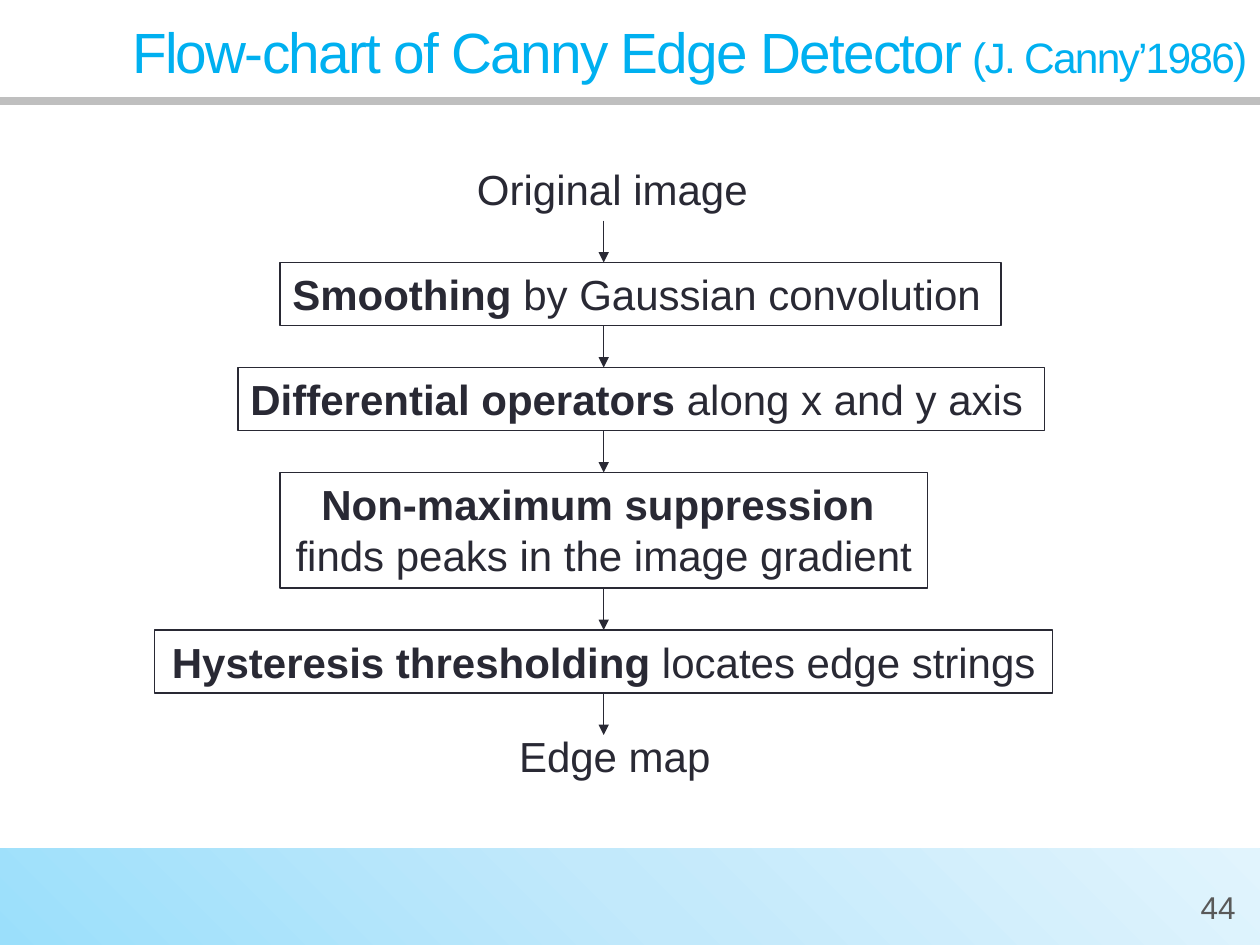
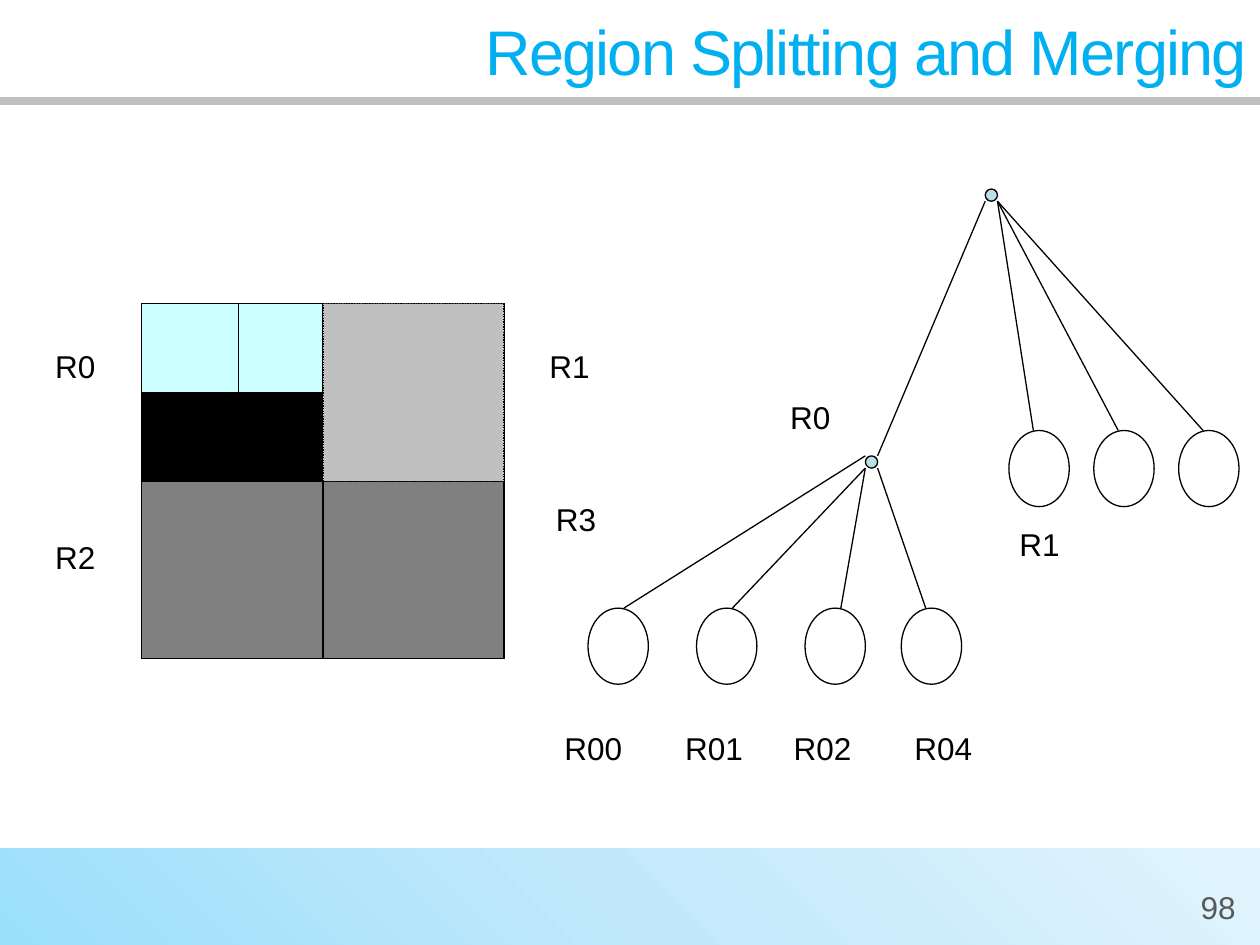
import copy

import pptx
import pptx.dml.color
import pptx.enum.dml
import pptx.enum.shapes
import pptx.enum.text
import pptx.oxml.ns
import pptx.oxml.xmlchemy
import pptx.util

Pt = pptx.util.Pt
qn = pptx.oxml.ns.qn
new_element = pptx.oxml.xmlchemy.OxmlElement
SHAPE = pptx.enum.shapes.MSO_SHAPE
ALIGN = pptx.enum.text.PP_ALIGN
ANCHOR = pptx.enum.text.MSO_ANCHOR

SLIDE_W, SLIDE_H = 720, 540
HEADER_H = 57.6
BAND_TOP = 485
BAND_COLORS = ["9BDFFB", "C2E9FB", "E1F4FD"]
TITLE, RULE, PAGE = "00B0F0", "BFBFBF", "595959"
INK, BLACK, WHITE = "292934", "000000", "FFFFFF"
DOT, LIGHT_REGION, DARK_REGION, PALE_REGION = "BBE0E3", "C0C0C0", "808080", "CCFFFF"


def rgb(color):
    return pptx.dml.color.RGBColor.from_string(color)


def add_run(paragraph, text, size, color, bold=False):
    run = paragraph.add_run()
    run.text = text
    run.font.name = "Arial"
    run.font.size = Pt(size)
    run.font.bold = bold
    run.font.color.rgb = rgb(color)
    return run


def add_shape(shapes, kind, box, fill=None, line=BLACK):
    shape = shapes.add_shape(kind, *map(Pt, box))
    shape.shadow.inherit = False
    if fill:
        shape.fill.solid()
        shape.fill.fore_color.rgb = rgb(fill)
    else:
        shape.fill.background()
    if line:
        shape.line.color.rgb = rgb(line)
        shape.line.width = Pt(0.75)
    else:
        shape.line.fill.background()
    return shape


def add_line(shapes, start, end, color=BLACK, width=0.75, arrow=False):
    line = shapes.add_connector(
        pptx.enum.shapes.MSO_CONNECTOR.STRAIGHT, *map(Pt, (*start, *end)))
    line.line.color.rgb = rgb(color)
    line.line.width = Pt(width)
    properties = line._element.spPr
    if arrow:
        head = new_element("a:tailEnd")
        head.set("type", "triangle")
        properties.find(qn("a:ln")).append(head)
    properties.append(new_element("a:effectLst"))
    return line


def write(shape, paragraphs, size, color, align=ALIGN.CENTER):
    """Fill a shape with paragraphs, each a list of (text, bold) runs."""
    frame = shape.text_frame
    frame.word_wrap = True
    frame.vertical_anchor = ANCHOR.TOP
    for i, runs in enumerate(paragraphs):
        paragraph = frame.add_paragraph() if i else frame.paragraphs[0]
        paragraph.alignment = align
        for text, bold in runs:
            add_run(paragraph, text, size, color, bold)


def add_label(shapes, text, box, size=18, color=BLACK, align=ALIGN.CENTER):
    label = shapes.add_textbox(*map(Pt, box))
    write(label, [[(text, False)]], size, color, align)


def add_footer_band(shapes):
    band = add_shape(shapes, SHAPE.RECTANGLE,
                     (0, BAND_TOP, SLIDE_W, SLIDE_H - BAND_TOP), line=None)
    band.fill.gradient()
    band.fill.gradient_angle = 45
    first = band._element.spPr.find(".//" + qn("a:gs"))
    middle = copy.deepcopy(first)
    middle.set("pos", "50000")
    first.addnext(middle)
    for stop, color in zip(band.fill.gradient_stops, BAND_COLORS):
        stop.color.rgb = rgb(color)


def new_slide(deck, title_runs, page):
    """Add a slide with the shared band, rule, page number and title."""
    slide = deck.slides.add_slide(deck.slide_layouts[5])
    add_footer_band(slide.shapes)
    add_line(slide.shapes, (0, HEADER_H), (SLIDE_W, HEADER_H), RULE, 4.5)
    add_label(slide.shapes, page, (672, 504, 48, 30), color=PAGE)

    title = slide.shapes.title
    title.left, title.top = Pt(0), Pt(0)
    title.width, title.height = Pt(SLIDE_W), Pt(HEADER_H)
    frame = title.text_frame
    frame.auto_size = pptx.enum.text.MSO_AUTO_SIZE.NONE
    frame.vertical_anchor = ANCHOR.MIDDLE
    frame.paragraphs[0].alignment = ALIGN.RIGHT
    for text, size in title_runs:
        run = add_run(frame.paragraphs[0], text, size, TITLE)
        run.font._element.set("spc", "-100")
    return slide


def add_flow_chart(shapes, left, top):
    """Stack the steps downwards, joined by arrows on one vertical axis."""
    axis, gap = left + 256.5, 24
    # offset from left, width, height, alignment, paragraphs
    steps = [
        (71.5, 412, 36, ALIGN.LEFT,
         [[("Smoothing", True), (" by Gaussian convolution", False)]]),
        (47.5, 461, 36, ALIGN.LEFT,
         [[("Differential operators", True), (" along x and y axis", False)]]),
        (71.5, 370, 66, ALIGN.CENTER,
         [[("Non-maximum suppression ", True)],
          [("finds peaks in the image gradient", False)]]),
        (0, 513, 36, ALIGN.CENTER,
         [[("Hysteresis thresholding", True), (" locates edge strings", False)]]),
    ]
    add_label(shapes, "Original image", (left + 177, top, 172, 36), 24, INK, ALIGN.LEFT)
    y = top + 36
    above = None
    for offset, width, height, align, paragraphs in steps:
        step = add_shape(shapes, SHAPE.RECTANGLE,
                         (left + offset, y + gap, width, height), line=INK)
        write(step, paragraphs, 24, INK, align)
        on_axis = left + offset + width / 2 == axis
        arrow = add_line(shapes, (axis, y), (axis, y + gap), INK, arrow=True)
        if above:
            arrow.begin_connect(above, 2)
        if on_axis:
            arrow.end_connect(step, 0)
        above = step if on_axis else None
        y += gap + height
    arrow = add_line(shapes, (axis, y), (axis, y + gap), INK, arrow=True)
    arrow.begin_connect(above, 2)
    add_label(shapes, "Edge map", (left + 201, y + 18, 126, 36), 24, INK, ALIGN.LEFT)


def add_split_image(shapes, left, top):
    """Draw a square split into quadrants, the first of them split again."""
    half_w, half_h = 103.5, 101.5
    sub_w, sub_h = 55.5, half_h / 2
    rest_w = half_w - sub_w
    regions = [
        (0, 0, 2 * half_w, 2 * half_h, WHITE),
        (0, half_h, half_w, half_h, DARK_REGION),
        (half_w, half_h, half_w, half_h, DARK_REGION),
        (half_w, 0, half_w, half_h, LIGHT_REGION),
        (0, 0, half_w, half_h, BLACK),
        (0, 0, sub_w, sub_h, PALE_REGION),
        (sub_w, sub_h, rest_w, sub_h, BLACK),
        (sub_w, 0, rest_w, sub_h, PALE_REGION),
    ]
    for x, y, width, height, fill in regions:
        region = add_shape(shapes, SHAPE.RECTANGLE,
                           (left + x, top + y, width, height), fill)
        if fill == LIGHT_REGION:
            region.line.dash_style = pptx.enum.dml.MSO_LINE.ROUND_DOT
    for text, x, y, width in [("R0", -62, 21.5, 48), ("R1", 220.5, 21.5, 48),
                              ("R2", -62, 130.5, 48), ("R3", 220.5, 108.5, 55.5)]:
        add_label(shapes, text, (left + x, top + y, width, 35))


def add_region_tree(shapes, left, top):
    """Draw the quadtree: a root, its four children and R0's four children."""
    dot, leaf_w, leaf_h = 7, 34.5, 43.5
    root = left + 255, top
    r0 = left + 186.5, top + 152.5
    root_leaf_top, r0_leaf_top = top + 138, top + 239.5

    def corner(node, right, bottom):
        return node[0] + right * dot, node[1] + bottom * dot

    # leaf left, leaf top, where its branch lands from the left, branch start
    leaves = [(left + 268.5 + 48.5 * i, root_leaf_top, 14, corner(root, 1, 1))
              for i in range(3)]
    leaves += [(left + x, r0_leaf_top, landing, corner(r0, *side))
               for x, landing, side in [(28, 20.5, (0, 0)), (90, 20.5, (0, 1)),
                                        (152, 20.5, (0, 1)), (207, 14, (1, 1))]]
    for x, y, landing, start in leaves:
        add_shape(shapes, SHAPE.OVAL, (x, y, leaf_w, leaf_h), WHITE)
        add_line(shapes, start, (x + landing, y))
    for node in (root, r0):
        add_shape(shapes, SHAPE.OVAL, (*node, dot, dot), DOT)
    add_line(shapes, corner(root, 0, 1), corner(r0, 1, 0))

    for text, x, y, width in [("R0", 131, 116, 48), ("R1", 262, 188.5, 48),
                              ("R00", 0, 305, 62), ("R01", 69, 305, 62),
                              ("R02", 131, 305, 62), ("R04", 200, 305, 62)]:
        add_label(shapes, text, (left + x, top + y, width, 35))


def main():
    deck = pptx.Presentation()
    deck.slide_width, deck.slide_height = Pt(SLIDE_W), Pt(SLIDE_H)

    canny = new_slide(deck, [("Flow-chart of Canny Edge Detector", 32.4),
                             (" (J. Canny’1986)", 24.3)], "44")
    add_flow_chart(canny.shapes, 88.5, 90)

    splitting = new_slide(deck, [("Region Splitting and Merging", 36)], "98")
    add_split_image(splitting.shapes.add_group_shape().shapes, 81, 173.5)
    add_region_tree(splitting.shapes.add_group_shape().shapes, 308, 108)

    deck.save("out.pptx")


if __name__ == "__main__":
    main()
